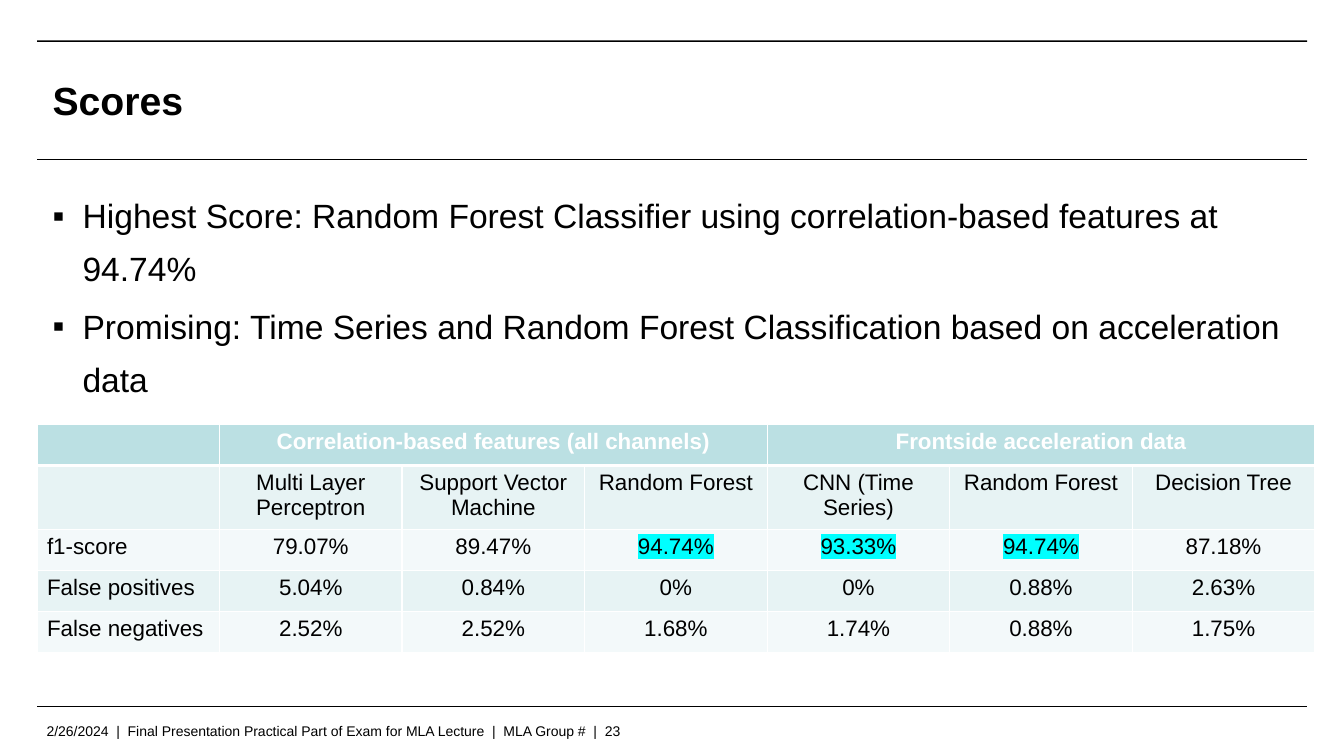
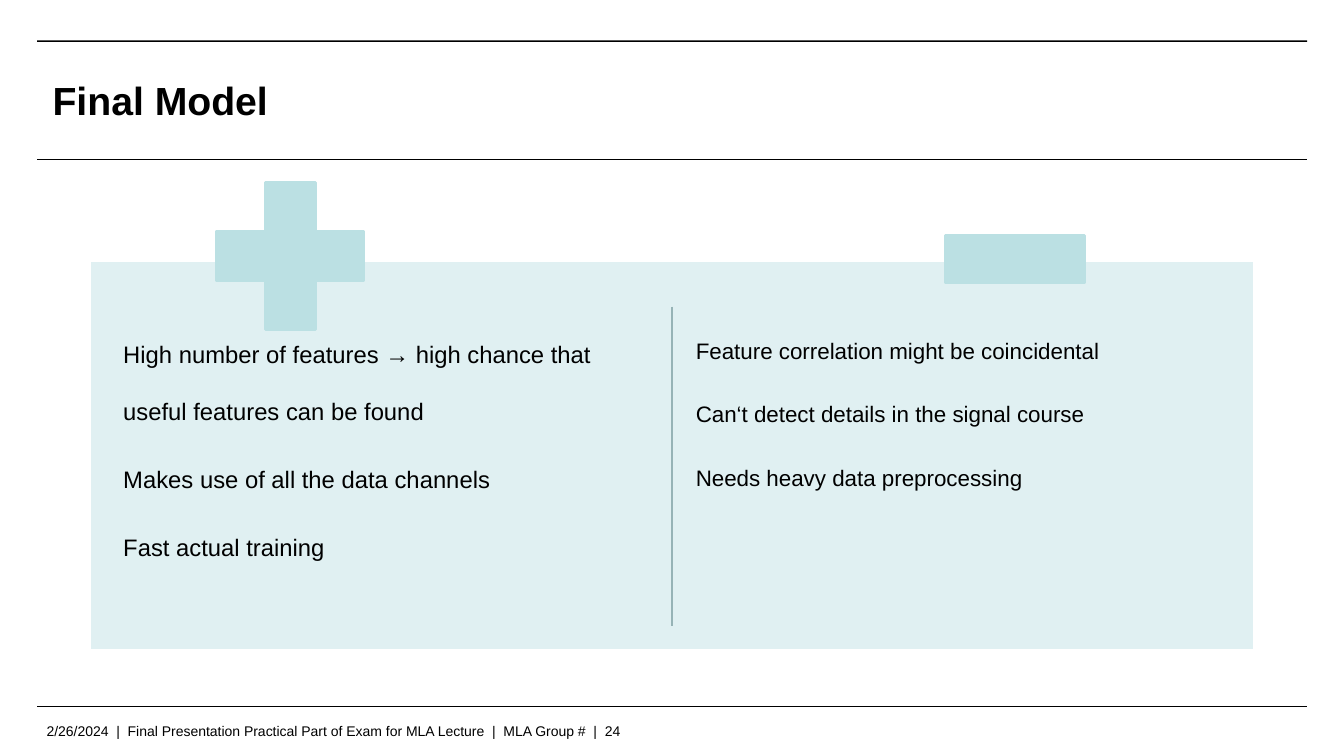
import pptx
import pptx.util
import pptx.dml.color
import pptx.enum.shapes
import pptx.enum.text
import pptx.oxml
import pptx.oxml.ns
import pptx.oxml.xmlchemy
from dataclasses import dataclass

Pt = pptx.util.Pt
Shape = pptx.enum.shapes.MSO_SHAPE
Align = pptx.enum.text.PP_ALIGN
Anchor = pptx.enum.text.MSO_ANCHOR
make = pptx.oxml.xmlchemy.OxmlElement


@dataclass(frozen=True)
class Theme:
    font: str = "Arial"
    ink: str = "000000"
    white: str = "FFFFFF"
    teal: str = "BBE0E3"
    pale: str = "E0F0F2"
    band: str = "E7F3F4"
    light: str = "F3F9FA"
    split: str = "96B3B6"
    mark: str = "00FFFF"
    head: int = 28
    body: int = 24
    pros: int = 17
    cons: int = 16
    cell: int = 16
    foot: int = 10
    left: float = 26.6
    right: float = 933.8


T = Theme()
FOOT = "2/26/2024  |  Final Presentation Practical Part of Exam for MLA Lecture  |  MLA Group #  |  "
POINTS = [
    "Highest Score: Random Forest Classifier using correlation-based features at 94.74%",
    "Promising: Time Series and Random Forest Classification based on acceleration data",
]
GROUPS = [(1, "Correlation-based features (all channels)"), (4, "Frontside acceleration data")]
ROWS = [
    ["", "Multi Layer Perceptron", "Support Vector Machine", "Random Forest",
     "CNN (Time Series)", "Random Forest", "Decision Tree"],
    ["f1-score", "79.07%", "89.47%", "94.74%", "93.33%", "94.74%", "87.18%"],
    ["False positives", "5.04%", "0.84%", "0%", "0%", "0.88%", "2.63%"],
    ["False negatives", "2.52%", "2.52%", "1.68%", "1.74%", "0.88%", "1.75%"],
]
BEST = {"94.74%", "93.33%"}
PROS = [
    "High number of features → high chance that useful features can be found",
    "Makes use of all the data channels",
    "Fast actual training",
]
CONS = [
    "Feature correlation might be coincidental",
    "Can‘t detect details in the signal course",
    "Needs heavy data preprocessing",
]


def tint(code):
    return pptx.dml.color.RGBColor.from_string(code)


def write(para, text, size, color=T.ink, bold=False):
    run = para.add_run()
    run.text = text
    font = run.font
    font.name, font.size, font.bold = T.font, Pt(size), bold
    font.color.rgb = tint(color)
    return run


def glow(run, color):
    mark = make("a:highlight")
    hue = make("a:srgbClr")
    hue.set("val", color)
    mark.append(hue)
    props = run.font._element
    props.find(pptx.oxml.ns.qn("a:solidFill")).addnext(mark)


def bullet(para, sign, indent):
    props = para._p.get_or_add_pPr()
    props.set("marL", str(Pt(indent)))
    props.set("indent", str(-Pt(indent)))
    face = make("a:buFont")
    face.set("typeface", T.font)
    char = make("a:buChar")
    char.set("char", sign)
    props.append(face)
    props.append(char)


def box(slide, at, inset):
    frame = slide.shapes.add_textbox(*map(Pt, at)).text_frame
    frame.word_wrap = True
    across, down = inset
    frame.margin_left = frame.margin_right = Pt(across)
    frame.margin_top = frame.margin_bottom = Pt(down)
    return frame


def paras(frame, lines, size, pitch, before, after, sign=None):
    for i, line in enumerate(lines):
        para = frame.add_paragraph() if i else frame.paragraphs[0]
        para.line_spacing = pitch
        para.space_before = Pt(before if i else 0)
        para.space_after = Pt(after)
        if sign:
            bullet(para, sign, 21.4)
        write(para, line, size)


def block(slide, kind, at, fill, edge=None):
    shape = slide.shapes.add_shape(kind, *map(Pt, at))
    shape.shadow.inherit = False
    shape.fill.solid()
    shape.fill.fore_color.rgb = tint(fill)
    if edge:
        shape.line.color.rgb = tint(edge)
        shape.line.width = Pt(2)
    else:
        shape.line.fill.background()
    return shape


def rule(slide, ends, color, width):
    line = slide.shapes.add_connector(
        pptx.enum.shapes.MSO_CONNECTOR.STRAIGHT, *map(Pt, ends))
    line.line.color.rgb = tint(color)
    line.line.width = Pt(width)
    line._element.spPr.append(make("a:effectLst"))


def page(deck, title, number):
    slide = deck.slides.add_slide(deck.slide_layouts[6])
    for y in (114.2, 504.8):
        rule(slide, (T.left, y, T.right, y), T.ink, 0.6)
    block(slide, Shape.RECTANGLE, (T.left, 28.8, T.right - T.left, 1.2), T.ink)
    foot = box(slide, (26.2, 512.6, 808.6, 18), (7.2, 3.6))
    write(foot.paragraphs[0], f"{FOOT}{number}", T.foot)
    head = box(slide, (37.6, 38.4, 754, 66), (0, 0))
    head.vertical_anchor = Anchor.MIDDLE
    write(head.paragraphs[0], title, T.head, bold=True)
    return slide


def paint(cell, fill, edges):
    props = cell._tc.get_or_add_tcPr()
    for side, width in zip("LRTB", edges):
        line = make(f"a:ln{side}")
        line.set("w", str(Pt(width)))
        solid = make("a:solidFill")
        hue = make("a:srgbClr")
        hue.set("val", T.white)
        solid.append(hue)
        line.append(solid)
        props.append(line)
    cell.fill.solid()
    cell.fill.fore_color.rgb = tint(fill)


def scores(slide):
    count, high, wide = len(ROWS) + 1, 29.2, 130.4
    cols = len(ROWS[0])
    grid = slide.shapes.add_table(
        count, cols, Pt(26.4), Pt(303.4), Pt(wide * cols), Pt(high * count)).table
    grid.horz_banding = False
    for col in grid.columns:
        col.width = Pt(wide)
    for row in grid.rows:
        row.height = Pt(high)
    for c in range(cols):
        paint(grid.cell(0, c), T.teal, (1, 1, 1, 3))
    for c, text in GROUPS:
        cell = grid.cell(0, c)
        cell.merge(grid.cell(0, c + 2))
        para = cell.text_frame.paragraphs[0]
        para.alignment = Align.CENTER
        write(para, text, T.cell, T.white, True)
    for r, row in enumerate(ROWS, 1):
        for c, text in enumerate(row):
            cell = grid.cell(r, c)
            paint(cell, T.band if r % 2 else T.light, (1, 1, 3 if r == 1 else 1, 1))
            if not text:
                continue
            para = cell.text_frame.paragraphs[0]
            para.alignment = Align.CENTER if c else Align.LEFT
            run = write(para, text, T.cell)
            if text in BEST:
                glow(run, T.mark)


def model(slide):
    block(slide, Shape.RECTANGLE, (64.2, 185.8, 832.2, 278.6), T.pale, T.white)
    paras(box(slide, (85, 219, 383, 238), (3, 3)), PROS, T.pros, 2.0, 0, 8)
    paras(box(slide, (494.6, 219, 376, 238), (2.4, 2.4)), CONS, T.cons, 2.0, 0, 7)
    plus = block(slide, Shape.CROSS, (154.8, 130.4, 105, 105), T.teal, T.teal)
    plus.adjustments[0] = 0.33
    block(slide, Shape.RECTANGLE, (675.4, 168.4, 99.4, 33.8), T.teal, T.teal)
    rule(slide, (480, 219, 480, 447), T.split, 2)


def main():
    deck = pptx.Presentation()
    deck.slide_width, deck.slide_height = Pt(960), Pt(540)
    first = page(deck, "Scores", 23)
    paras(box(first, (37.6, 127.4, 888.4, 352.8), (0, 3.6)),
          POINTS, T.body, 1.3, 2, 2.3, "▪")
    scores(first)
    model(page(deck, "Final Model", 24))
    deck.save("out.pptx")


if __name__ == "__main__":
    main()
